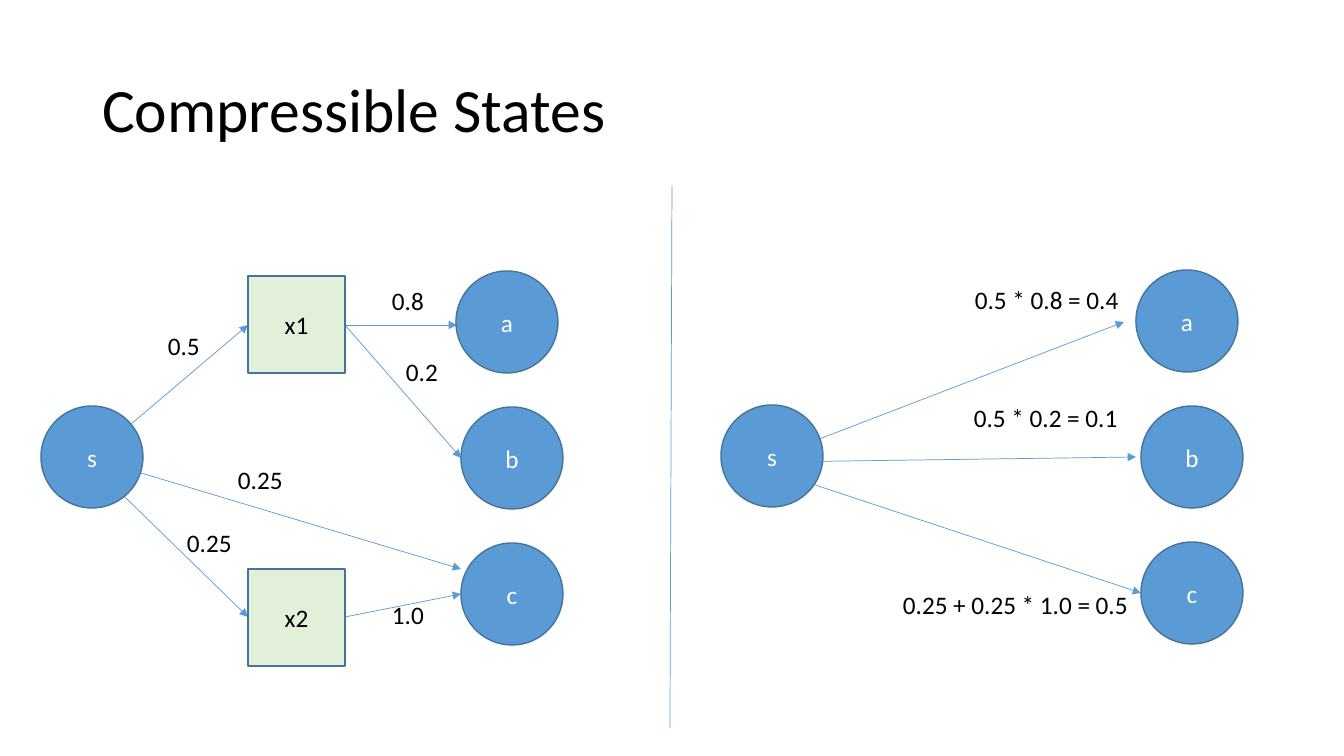
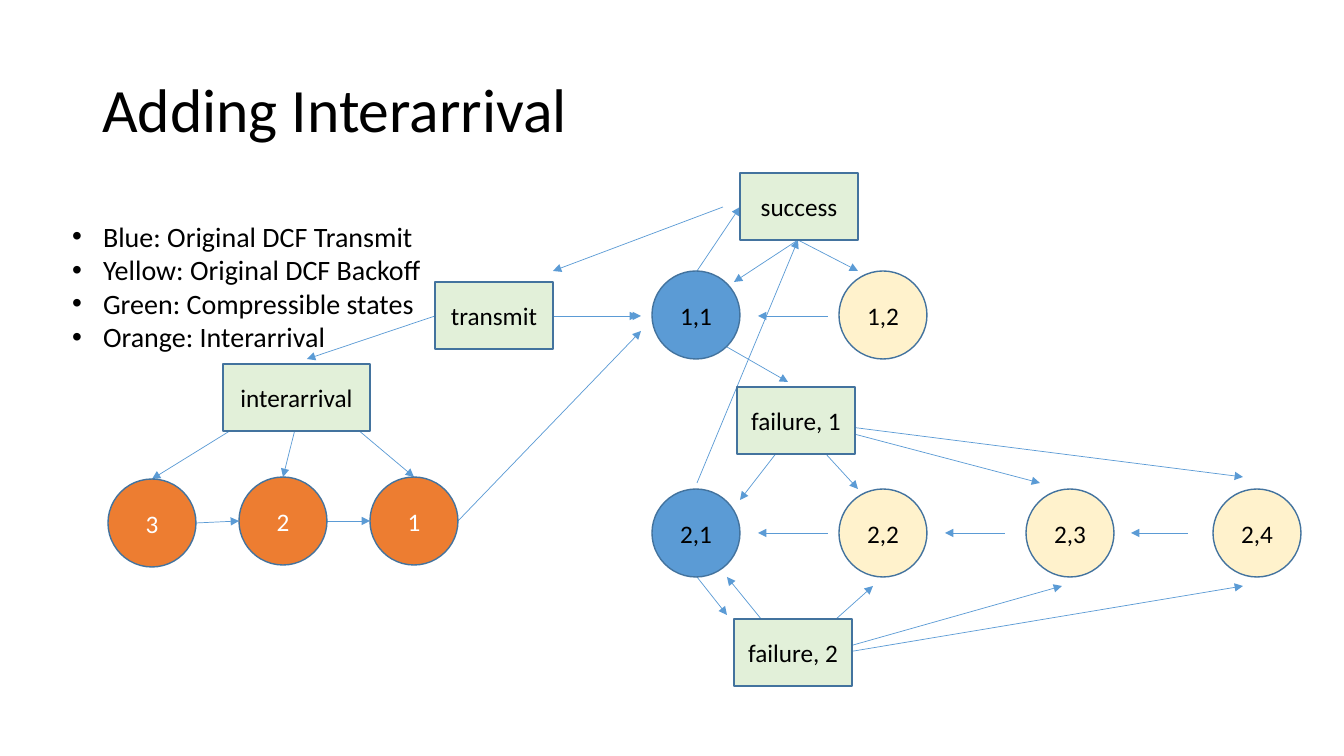
"""Build two slides of state diagrams: compressible states and interarrival."""
from dataclasses import dataclass

from lxml import etree
from pptx import Presentation
from pptx import util as u
from pptx.dml.color import RGBColor
from pptx.enum import shapes, text
from pptx.oxml import ns

SCALE = 914400 / 100.8
FONT = "Calibri"
HUES = {
    "ink": "000000",
    "white": "FFFFFF",
    "blue": "5B9BD5",
    "edge": "43739E",
    "green": "E2F0D9",
    "yellow": "FFF2CC",
    "orange": "ED7D31",
}


@dataclass(frozen=True)
class Node:
    label: str
    left: int
    top: int
    width: int
    height: int
    fill: str
    ink: str = "ink"
    kind: shapes.MSO_SHAPE = shapes.MSO_SHAPE.OVAL


@dataclass(frozen=True)
class Link:
    x1: int
    y1: int
    x2: int
    y2: int
    arrow: bool = True


@dataclass(frozen=True)
class Note:
    label: str
    left: int
    top: int
    width: int


def px(size: float) -> u.Emu:
    """Turn pixels into EMU."""
    return u.Emu(round(size * SCALE))


def hue(name: str) -> RGBColor:
    """Look up a named colour."""
    return RGBColor.from_string(HUES[name])


def style(para, size: int, ink: str = "ink") -> None:
    """Set the font of a paragraph."""
    para.font.name = FONT
    para.font.size = u.Pt(size)
    para.font.color.rgb = hue(ink)


def place(shape, left: int, top: int, width: int, height: int) -> None:
    """Move and size a placeholder."""
    shape.left, shape.top = px(left), px(top)
    shape.width, shape.height = px(width), px(height)


def start(deck, layout: int, title: str):
    """Add a slide with the shared title style."""
    slide = deck.slides.add_slide(deck.slide_layouts[layout])
    head = slide.shapes.title
    place(head, 92, 40, 1159, 146)
    frame = head.text_frame
    frame.text = title
    frame.auto_size = text.MSO_AUTO_SIZE.NONE
    frame.vertical_anchor = text.MSO_ANCHOR.MIDDLE
    para = frame.paragraphs[0]
    para.alignment = text.PP_ALIGN.LEFT
    para.line_spacing = 0.9
    style(para, 44)
    return slide


def draw_node(slide, node: Node) -> None:
    """Draw a state with its centred label."""
    shape = slide.shapes.add_shape(
        node.kind, px(node.left), px(node.top), px(node.width), px(node.height))
    shape.shadow.inherit = False
    shape.fill.solid()
    shape.fill.fore_color.rgb = hue(node.fill)
    shape.line.color.rgb = hue("edge")
    shape.line.width = u.Pt(1)
    frame = shape.text_frame
    frame.text = node.label
    frame.vertical_anchor = text.MSO_ANCHOR.MIDDLE
    para = frame.paragraphs[0]
    para.alignment = text.PP_ALIGN.CENTER
    style(para, 18, node.ink)


def draw_link(slide, link: Link) -> None:
    """Draw a thin line, with an arrowhead if asked."""
    line = slide.shapes.add_connector(
        shapes.MSO_CONNECTOR.STRAIGHT,
        px(link.x1), px(link.y1), px(link.x2), px(link.y2))
    line.line.color.rgb = hue("blue")
    line.line.width = u.Pt(0.5)
    props = line.element.find(ns.qn("p:spPr"))
    if link.arrow:
        etree.SubElement(
            props.find(ns.qn("a:ln")), ns.qn("a:tailEnd"), type="triangle")
    etree.SubElement(props, ns.qn("a:effectLst"))


def draw_note(slide, note: Note) -> None:
    """Write a label beside a link."""
    box = slide.shapes.add_textbox(
        px(note.left), px(note.top), px(note.width), px(40))
    frame = box.text_frame
    frame.text = note.label
    frame.word_wrap = False
    frame.auto_size = text.MSO_AUTO_SIZE.SHAPE_TO_FIT_TEXT
    style(frame.paragraphs[0], 18)


def draw_list(slide, items: list[str]) -> None:
    """Fill the body placeholder with the colour key."""
    body = slide.placeholders[1]
    place(body, 62, 214, 373, 146)
    frame = body.text_frame
    frame.text = "\n".join(items)
    frame.auto_size = text.MSO_AUTO_SIZE.NONE
    for para in frame.paragraphs:
        props = para._p.get_or_add_pPr()
        props.set("marL", str(px(31)))
        props.set("indent", str(-px(31)))
        para.space_before = u.Pt(0)
        style(para, 20)


def draw_graph(slide, links: list[Link], nodes: list[Node],
               notes: list[Note]) -> None:
    """Draw links, then the nodes over them, then the notes."""
    for link in links:
        draw_link(slide, link)
    for node in nodes:
        draw_node(slide, node)
    for note in notes:
        draw_note(slide, note)


def box(label: str, left: int, top: int, width: int = 118,
        height: int = 67) -> Node:
    """Describe a compressible state."""
    return Node(label, left, top, width, height, "green",
                kind=shapes.MSO_SHAPE.RECTANGLE)


def disc(label: str, left: int, top: int, fill: str = "blue",
         ink: str = "ink", size: int = 88) -> Node:
    """Describe a round state."""
    return Node(label, left, top, size, size, fill, ink)


def build_states(deck) -> None:
    """Build the slide on compressible states."""
    slide = start(deck, 5, "Compressible States")
    spots = [("s", 41, 406), ("a", 456, 271), ("b", 461, 407), ("c", 461, 543)]
    nodes = [box("x1", 248, 276, 97, 97), box("x2", 248, 569, 97, 97)]
    nodes += [disc(label, left + dx, top + dy, ink="white", size=102)
              for dx, dy in [(0, 0), (680, -1)] for label, left, top in spots]
    links = [
        Link(672, 186, 670, 728, arrow=False),
        Link(91, 458, 248, 325),
        Link(91, 458, 461, 569),
        Link(91, 464, 248, 617),
        Link(345, 325, 457, 325),
        Link(345, 325, 461, 458),
        Link(345, 617, 461, 594),
        Link(770, 458, 1124, 322),
        Link(772, 462, 1136, 457),
        Link(779, 473, 1141, 593),
    ]
    notes = [
        Note("0.5", 158, 325, 52),
        Note("0.25", 228, 459, 66),
        Note("0.25", 177, 522, 66),
        Note("0.8", 382, 280, 52),
        Note("0.2", 396, 351, 52),
        Note("1.0", 382, 594, 52),
        Note("0.25 + 0.25 * 1.0 = 0.5", 893, 584, 248),
        Note("0.5 * 0.8 = 0.4", 965, 279, 165),
        Note("0.5 * 0.2 = 0.1", 964, 397, 165),
    ]
    draw_graph(slide, links, nodes, notes)


def build_arrival(deck) -> None:
    """Build the slide on interarrival."""
    slide = start(deck, 1, "Adding Interarrival")
    draw_list(slide, [
        "Blue: Original DCF Transmit",
        "Yellow: Original DCF Backoff",
        "Green: Compressible states",
        "Orange: Interarrival",
    ])
    nodes = [
        box("interarrival", 223, 364, 147),
        box("transmit", 435, 282),
        box("success", 740, 173),
        box("failure, 1", 737, 387),
        box("failure, 2", 734, 619),
    ]
    nodes += [disc(str(3 - i), 108 + 131 * i, top, "orange", "white")
              for i, top in enumerate([479, 477, 477])]
    nodes += [disc(f"{row},{col + 1}", 652 + 187 * col, top,
                   "yellow" if col else "blue")
              for row, top, count in [(1, 271, 2), (2, 489, 4)]
              for col in range(count)]
    links = [
        Link(196, 523, 239, 521),
        Link(327, 521, 370, 521),
        Link(301, 387, 152, 479),
        Link(307, 382, 283, 477),
        Link(307, 387, 414, 477),
        Link(435, 316, 307, 359),
        Link(563, 316, 641, 316),
        Link(553, 316, 638, 316),
        Link(458, 521, 641, 331),
        Link(723, 207, 553, 271),
        Link(727, 347, 788, 382),
        Link(795, 429, 740, 500),
        Link(803, 429, 858, 489),
        Link(801, 420, 1040, 483),
        Link(795, 420, 1243, 477),
        Link(788, 652, 727, 577),
        Link(788, 662, 873, 586),
        Link(793, 662, 1062, 586),
        Link(788, 662, 1243, 586),
        Link(697, 271, 740, 207),
        Link(798, 240, 734, 282),
        Link(798, 240, 858, 271),
        Link(697, 577, 727, 615),
        Link(697, 483, 798, 240),
    ]
    links += [Link(x1, y, x2, y) for x1, x2, y in [
        (828, 758, 316), (828, 758, 533), (1005, 945, 533), (1188, 1131, 533)]]
    draw_graph(slide, links, nodes, [])


def main() -> None:
    """Build and save the deck."""
    deck = Presentation()
    deck.slide_width, deck.slide_height = px(1344), px(756)
    build_states(deck)
    build_arrival(deck)
    deck.save("out.pptx")


main()
